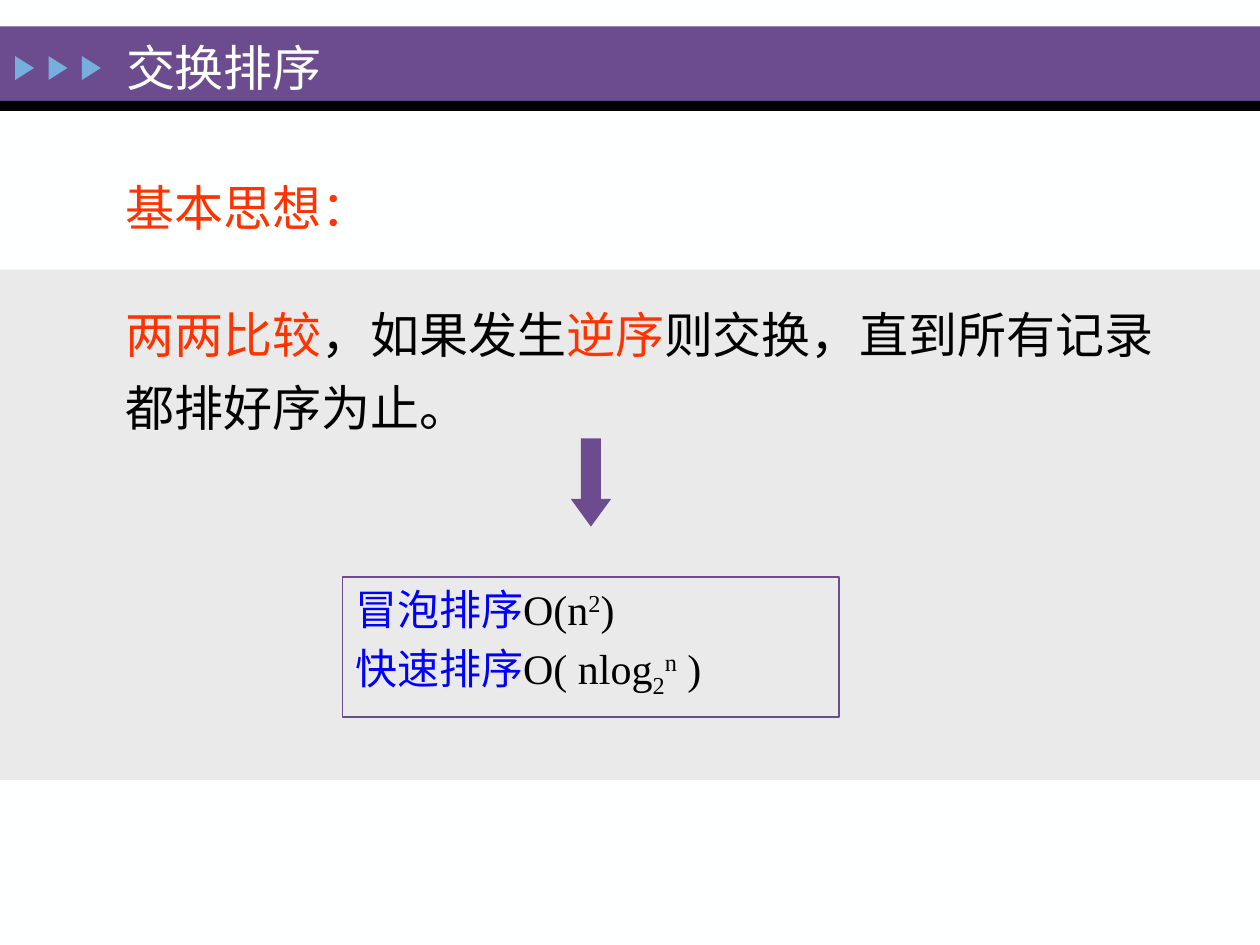
"""Build the slide that introduces exchange sorting."""
from pptx import Presentation
from pptx.dml.color import RGBColor
from pptx.enum.shapes import MSO_SHAPE as Preset
from pptx.enum.text import MSO_ANCHOR as Anchor, MSO_AUTO_SIZE as AutoSize, PP_ALIGN as Align
from pptx.util import Inches, Pt

WHITE = RGBColor(0xFE, 0xFF, 0xFF)
BLACK = RGBColor(0, 0, 0)
PURPLE = RGBColor(0x6C, 0x4C, 0x8F)
SKY = RGBColor(0x76, 0xAE, 0xDD)
GREY = RGBColor(0xEA, 0xEA, 0xEA)
RED = RGBColor(0xFF, 0x33, 0x00)
BLUE = RGBColor(0, 0, 0xFF)
FONT = "Times New Roman"

presentation = Presentation()
presentation.slide_width, presentation.slide_height = Inches(10), Inches(7.5)
COLUMN = presentation.slide_width / 100
ROW = presentation.slide_height / 100
slide = presentation.slides.add_slide(presentation.slide_layouts[5])
slide.background.fill.solid()
slide.background.fill.fore_color.rgb = WHITE


def add_preset(preset, left, top, width, height, color=None):
    shape = slide.shapes.add_shape(
        preset, round(left * COLUMN), round(top * ROW), round(width * COLUMN), round(height * ROW))
    shape.shadow.inherit = False
    shape.line.fill.background()
    if color is None:
        shape.fill.background()
    else:
        shape.fill.solid()
        shape.fill.fore_color.rgb = color
    return shape


def write(paragraph, size, runs):
    paragraph.alignment = Align.LEFT
    paragraph.font.name = FONT
    paragraph.font.size = Pt(size)
    for text, color, baseline in runs:
        run = paragraph.add_run()
        run.text = text
        run.font.color.rgb = color
        if baseline:
            run.font._element.set("baseline", str(baseline * 1000))


add_preset(Preset.RECTANGLE, 0, 2.8, 100, 7.87, PURPLE)
add_preset(Preset.RECTANGLE, 0, 10.67, 100, 1.07, BLACK)
for index in range(3):
    marker = add_preset(Preset.ISOSCELES_TRIANGLE, 1 + 2.65 * index, 6.2, 1.9, 2, SKY)
    marker.rotation = 90
add_preset(Preset.RECTANGLE, 0, 28.53, 100, 54, GREY)

title = slide.shapes.title
slide.shapes.element.append(title.element)
title.left, title.top = round(9 * COLUMN), round(3.33 * ROW)
title.width, title.height = round(67.3 * COLUMN), round(10 * ROW)
title.text_frame.vertical_anchor = Anchor.TOP
title.text_frame.auto_size = AutoSize.NONE
write(title.text_frame.paragraphs[0], 28, [("交换排序", WHITE, 0)])

passages = [
    (18.13, 7.6, 1, [("基本思想：", RED, 0)]),
    (30, 16.4, 1.25, [("两两比较", RED, 0), ("，如果发生", BLACK, 0), ("逆序", RED, 0),
                      ("则交换，直到所有记录都排好序为止。", BLACK, 0)]),
]
for top, height, spacing, runs in passages:
    passage = slide.shapes.add_textbox(
        round(9 * COLUMN), round(top * ROW), round(86.8 * COLUMN), round(height * ROW))
    passage.text_frame.word_wrap = True
    passage.text_frame.auto_size = AutoSize.SHAPE_TO_FIT_TEXT
    paragraph = passage.text_frame.paragraphs[0]
    paragraph.line_spacing = spacing
    write(paragraph, 28, runs)

methods = add_preset(Preset.RECTANGLE, 27.2, 61.07, 39.4, 14.8)
methods.line.color.rgb = PURPLE
methods.line.width = Pt(0.75)
frame = methods.text_frame
frame.vertical_anchor = Anchor.TOP
complexities = [
    [("冒泡排序", BLUE, 0), ("O(n", BLACK, 0), ("2", BLACK, 30), (")", BLACK, 0)],
    [("快速排序", BLUE, 0), ("O( nlog", BLACK, 0), ("2", BLACK, -25), ("n", BLACK, 30),
     (" )", BLACK, 0)],
]
for index, runs in enumerate(complexities):
    paragraph = frame.add_paragraph() if index else frame.paragraphs[0]
    properties = paragraph._p.get_or_add_pPr()
    properties.set("marL", str(Inches(0.38)))
    properties.set("indent", str(-Inches(0.38)))
    if index:
        paragraph.space_before = Pt(5)
    write(paragraph, 24, runs)

arrow = add_preset(Preset.DOWN_ARROW, 45.3, 46.4, 3.2, 9.33, PURPLE)
arrow.adjustments[1] = 0.685

presentation.save("out.pptx")
